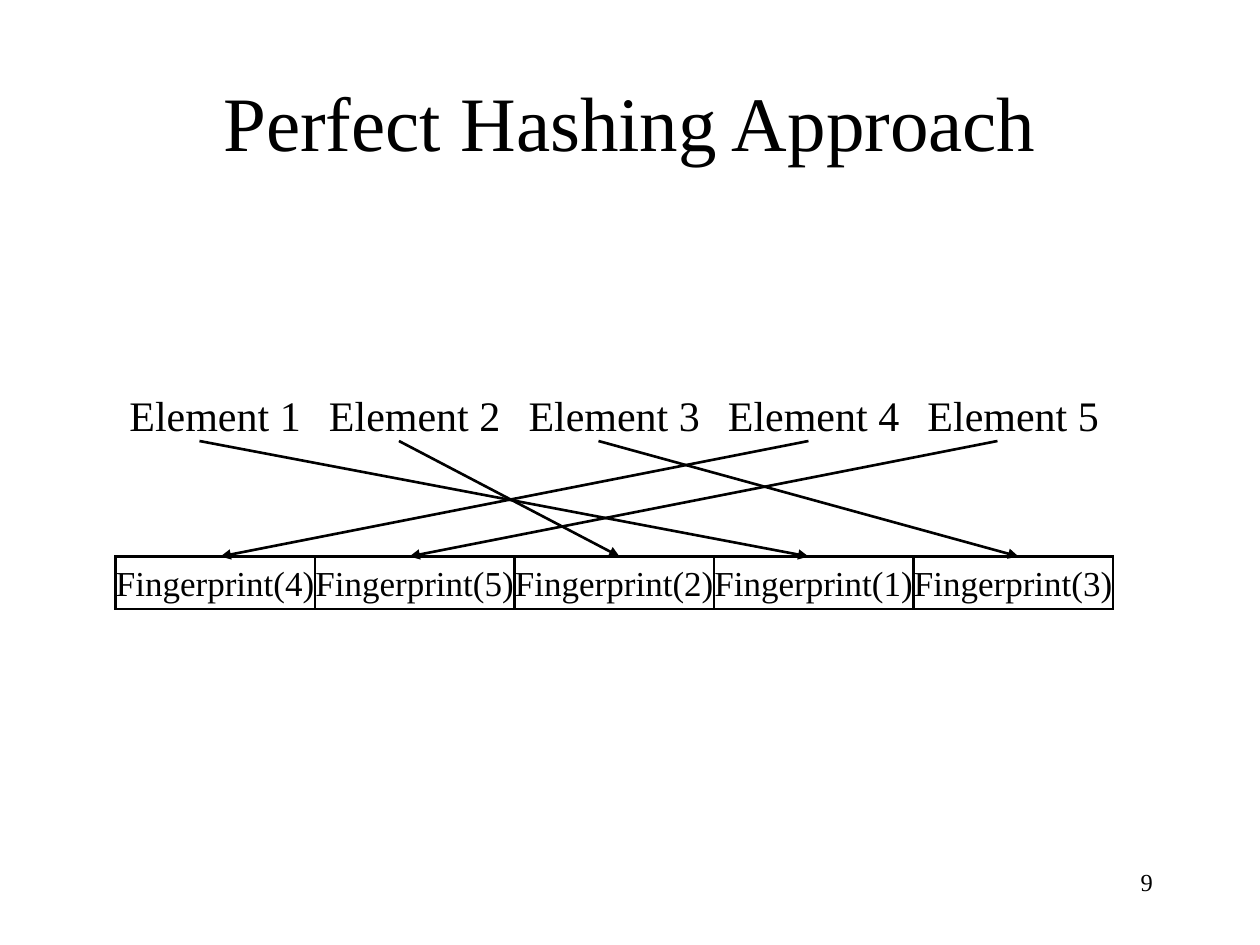
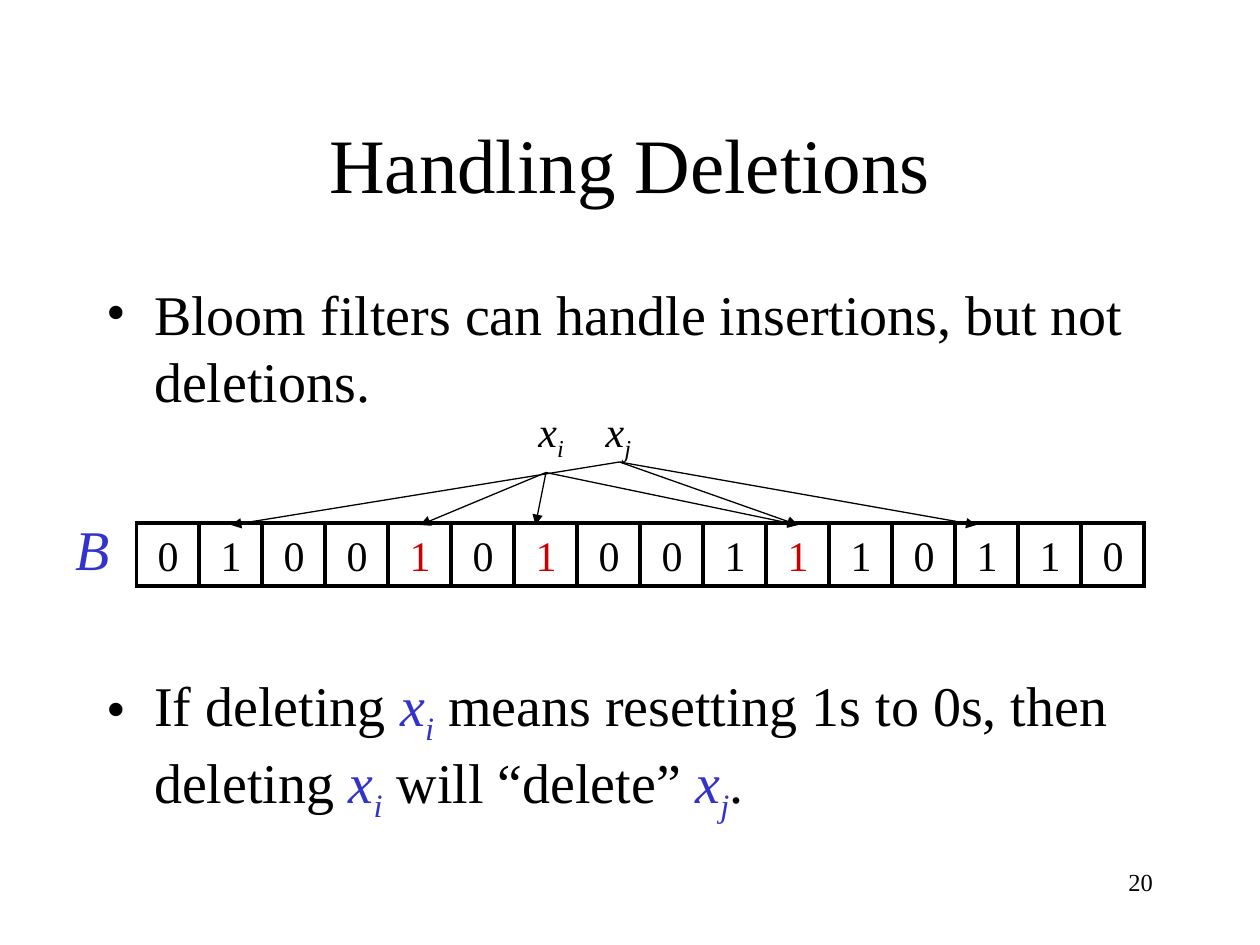
import dataclasses
import typing

import lxml.etree
import pptx
import pptx.dml.color
import pptx.enum.shapes
import pptx.enum.text
import pptx.oxml.ns
import pptx.util

EMU_PER_PX = 7620  # 120 px to the inch
FONT_NAME = "Times New Roman"
COLORS = {"ink": "000000", "variable": "3333CC", "set_bit": "CC0000"}

ALIGN = pptx.enum.text.PP_ALIGN
ANCHOR = pptx.enum.text.MSO_ANCHOR
CENTERED = {"vertical_anchor": ANCHOR.MIDDLE, "word_wrap": False}
TOP_WRAPPED = {"vertical_anchor": ANCHOR.TOP, "word_wrap": True}


class Place(typing.NamedTuple):
    left: int
    top: int
    width: int
    height: int


class Arrow(typing.NamedTuple):
    start_x: int
    start_y: int
    end_x: int
    end_y: int


@dataclasses.dataclass(frozen=True)
class Span:
    text: str
    color: str = "ink"
    italic: bool = False
    subscript: bool = False


@dataclasses.dataclass(frozen=True)
class TextStyle:
    size: int
    align: ALIGN = ALIGN.LEFT
    frame: dict = dataclasses.field(default_factory=lambda: TOP_WRAPPED)


TITLE = TextStyle(44, ALIGN.CENTER, {**CENTERED, "word_wrap": True})
CELL = TextStyle(24, ALIGN.CENTER, CENTERED)
FINGERPRINT = TextStyle(20, ALIGN.CENTER, CENTERED)
BODY = TextStyle(32)
POINTERS = TextStyle(24)
PAGE_NUMBER = TextStyle(14, ALIGN.RIGHT)


def px(length: int) -> int:
    return pptx.util.Emu(length * EMU_PER_PX)


def rgb(name: str) -> pptx.dml.color.RGBColor:
    return pptx.dml.color.RGBColor.from_string(COLORS[name])


def set_all(target, values: dict) -> None:
    for name, value in values.items():
        setattr(target, name, value)


def add_xml(parent, tag: str, **attributes: str):
    return lxml.etree.SubElement(parent, pptx.oxml.ns.qn(tag), attributes)


def subscripted(letter: str, index: str, color: str = "ink") -> list[Span]:
    return [Span(letter, color, True), Span(index, color, True, True)]


def fill_para(para, spans: list[Span], style: TextStyle) -> None:
    para.alignment = style.align
    for span in spans:
        run = para.add_run()
        run.text = span.text
        set_all(run.font, {"name": FONT_NAME, "size": pptx.util.Pt(style.size),
                           "bold": False, "italic": span.italic})
        run.font.color.rgb = rgb(span.color)
        if span.subscript:
            run.font._element.set("baseline", "-25000")


def write(box, spans: list[Span], style: TextStyle):
    """Fill the first paragraph of a box and return it."""
    box.text_frame.auto_size = pptx.enum.text.MSO_AUTO_SIZE.NONE
    set_all(box.text_frame, style.frame)
    para = box.text_frame.paragraphs[0]
    fill_para(para, spans, style)
    return para


def add_text(page, place: Place, spans: list[Span], style: TextStyle):
    box = page.shapes.add_textbox(*map(px, place))
    return write(box, spans, style)


def draw_line(line, width: float):
    """Format an outline and return its XML element."""
    line.color.rgb = rgb("ink")
    line.width = pptx.util.Pt(width)
    outline = line._get_or_add_ln()
    add_xml(outline, "a:miter", lim="800000")
    return outline


def add_cell(page, place: Place, span: Span, style: TextStyle, line_width: float) -> None:
    cell = page.shapes.add_shape(
        pptx.enum.shapes.MSO_SHAPE.RECTANGLE, *map(px, place))
    cell.shadow.inherit = False
    cell.fill.background()
    draw_line(cell.line, line_width)
    write(cell, [span], style)


def add_arrow(page, arrow: Arrow, line_width: float) -> None:
    connector = page.shapes.add_connector(
        pptx.enum.shapes.MSO_CONNECTOR.STRAIGHT, *map(px, arrow))
    add_xml(draw_line(connector.line, line_width), "a:tailEnd", type="triangle")
    add_xml(connector._element.spPr, "a:effectLst")


def add_bullet(para, space_before: int) -> None:
    para.space_before = pptx.util.Pt(space_before)
    properties = para._p.get_or_add_pPr()
    for name, value in {"marL": 45, "indent": -45}.items():
        properties.set(name, str(px(value)))
    add_xml(properties, "a:buFont", typeface=FONT_NAME)
    add_xml(properties, "a:buChar", char="•")


def add_page(deck, title: str, title_top: int):
    page = deck.slides.add_slide(deck.slide_layouts[5])
    box = page.shapes.title
    place = Place(90, title_top, 1020, 150)
    set_all(box, {name: px(value) for name, value in place._asdict().items()})
    write(box, [Span(title)], TITLE)
    return page


def add_page_number(page, number: int) -> None:
    add_text(page, Place(860, 820, 250, 60), [Span(str(number))], PAGE_NUMBER)


def build_perfect_hashing(deck) -> None:
    page = add_page(deck, "Perfect Hashing Approach", 40)
    left, width, height = 110, 190, 50
    element_top, table_top = 370, 530
    for column in range(5):
        add_text(page, Place(left + column * width, element_top, width, height),
                 [Span(f"Element {column + 1}")], CELL)
    for column, hashed in enumerate((4, 5, 2, 1, 3)):
        add_cell(page, Place(left + column * width, table_top, width, height),
                 Span(f"Fingerprint({hashed})"), FINGERPRINT, 1.5)
    for start_x, end_x in ((770, 210), (950, 390), (380, 590), (190, 770), (570, 970)):
        add_arrow(page, Arrow(start_x, element_top + height, end_x, table_top), 1.5)
    add_page_number(page, 9)


def build_deletions(deck) -> None:
    page = add_page(deck, "Handling Deletions", 80)
    body = page.shapes.add_textbox(*map(px, Place(90, 260, 1020, 540)))
    first = write(
        body, [Span("Bloom filters can handle insertions, but not deletions.")], BODY)
    add_bullet(first, 8)
    x_i = subscripted("x", "i", "variable")
    x_j = subscripted("x", "j", "variable")
    second = body.text_frame.add_paragraph()
    fill_para(second, [Span("If deleting "), *x_i,
                       Span(" means resetting 1s to 0s, then deleting "), *x_i,
                       Span(" will “delete” "), *x_j, Span(".")], BODY)
    add_bullet(second, 147)

    side = 60
    shared_bits = (4, 6, 10)
    for index, bit in enumerate("0100101001110110"):
        color = "set_bit" if index in shared_bits else "ink"
        add_cell(page, Place(130 + index * side, 498, side, side),
                 Span(bit, color), CELL, 2.25)
    add_text(page, Place(60, 484, 50, 77), [Span("B", "variable", True)], BODY)

    pointers = add_text(page, Place(501, 380, 120, 67),
                        [*subscripted("x", "i\t"), *subscripted("x", "j")], POINTERS)
    tabs = add_xml(pointers._p.get_or_add_pPr(), "a:tabLst")
    add_xml(tabs, "a:tab", pos=str(px(64)), algn="l")

    targets = {(520, 450): (400, 510, 760), (590, 440): (760, 220, 930)}
    for (start_x, start_y), ends in targets.items():
        for end_x in ends:
            add_arrow(page, Arrow(start_x, start_y, end_x, 500), 0.75)
    add_page_number(page, 20)


def main() -> None:
    deck = pptx.Presentation()
    set_all(deck, {"slide_width": px(1200), "slide_height": px(900)})
    build_perfect_hashing(deck)
    build_deletions(deck)
    deck.save("out.pptx")


if __name__ == "__main__":
    main()
